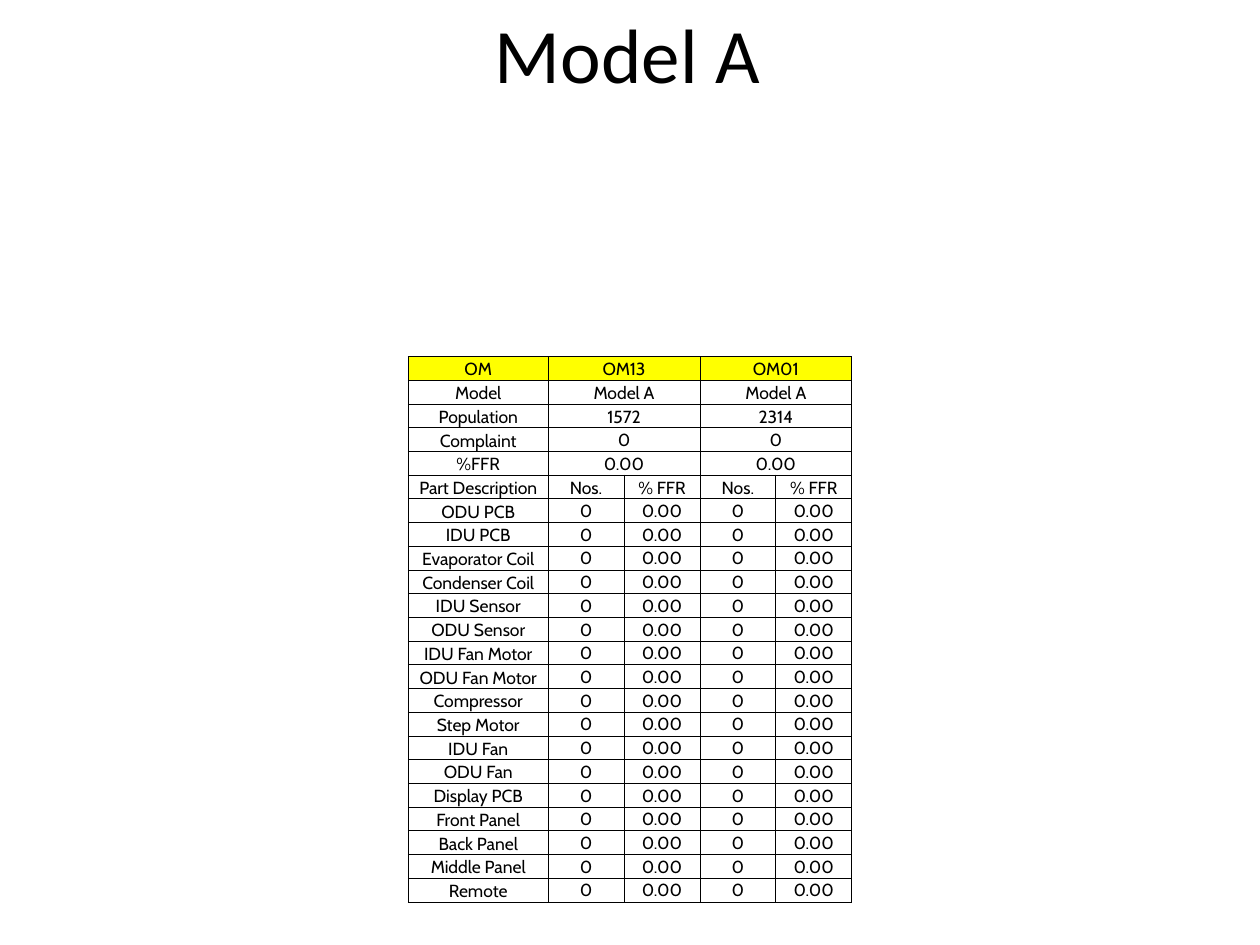
from lxml.etree import SubElement
from pptx import Presentation
from pptx.dml.color import RGBColor
from pptx.enum.text import MSO_ANCHOR, PP_ALIGN
from pptx.oxml.ns import qn
from pptx.util import Inches, Pt

COLORS = {"ink": "000000", "head": "FFFF00"}
MODEL = "Model A"
HEADS = [
    ("OM", "OM13", "OM01"),
    ("Model", MODEL, MODEL),
    ("Population", "1572", "2314"),
    ("Complaint", "0", "0"),
    ("%FFR", "0.00", "0.00"),
]
PARTS = [
    "ODU PCB", "IDU PCB", "Evaporator Coil", "Condenser Coil", "IDU Sensor",
    "ODU Sensor", "IDU Fan Motor", "ODU Fan Motor", "Compressor", "Step Motor",
    "IDU Fan", "ODU Fan", "Display PCB", "Front Panel", "Back Panel",
    "Middle Panel", "Remote",
]


def write(frame, text, font="Cabin", size=10, color="ink", align=PP_ALIGN.CENTER):
    frame.text = text
    para = frame.paragraphs[0]
    para.alignment = align
    style = para.runs[0].font
    style.name, style.size, style.bold = font, Pt(size), False
    style.color.rgb = RGBColor.from_string(COLORS[color])


class Page:
    """Hold the table style and the current slide."""

    def __init__(self, deck):
        self.slide = deck.slides.add_slide(deck.slide_layouts[5])
        self.inset = Inches(0.01)
        self.line = Pt(0.5)

    def title(self, text, left, top, width, height):
        box = self.slide.shapes.title
        box.left, box.top, box.width, box.height = map(Inches, (left, top, width, height))
        box.text_frame.vertical_anchor = MSO_ANCHOR.MIDDLE
        write(box.text_frame, text, font="Calibri", size=44)

    def border(self, cell):
        props = cell._tc.get_or_add_tcPr()
        for side in ("a:lnL", "a:lnR", "a:lnT", "a:lnB"):
            line = SubElement(props, qn(side), w=str(self.line))
            fill = SubElement(line, qn("a:solidFill"))
            SubElement(fill, qn("a:srgbClr"), val=COLORS["ink"])

    def cell(self, cell, text, anchor=MSO_ANCHOR.BOTTOM, fill=None):
        cell.margin_left = cell.margin_right = cell.margin_top = self.inset
        cell.margin_bottom = 0
        cell.vertical_anchor = anchor
        self.border(cell)
        if fill:
            cell.fill.solid()
            cell.fill.fore_color.rgb = RGBColor.from_string(COLORS[fill])
        else:
            cell.fill.background()
        if not cell.is_spanned:
            write(cell.text_frame, text)

    def table(self, left, top, width, height, first):
        heads = [(name, one, "", two, "") for name, one, two in HEADS]
        labels = ("Part Description",) + ("Nos.", "% FFR") * 2
        rows = heads + [labels] + [(part,) + ("0", "0.00") * 2 for part in PARTS]
        count = len(labels)
        grid = self.slide.shapes.add_table(
            len(rows), count, *map(Inches, (left, top, width, height))
        ).table
        grid.first_row = grid.horz_banding = False
        for row in grid.rows:
            row.height = round(Inches(height) / len(rows))
        for i, column in enumerate(grid.columns):
            column.width = Inches(first if i == 0 else (width - first) / (count - 1))
        for r in range(len(heads)):
            for c in (1, 3):
                grid.cell(r, c).merge(grid.cell(r, c + 1))
        for r, row in enumerate(rows):
            middle = row[0] == "Complaint" or r > len(heads)
            for c, text in enumerate(row):
                anchor = MSO_ANCHOR.MIDDLE if middle and c else MSO_ANCHOR.BOTTOM
                self.cell(grid.cell(r, c), text, anchor, None if r else "head")


def main():
    deck = Presentation()
    deck.slide_width, deck.slide_height = Inches(10), Inches(7.5)
    page = Page(deck)
    page.title(MODEL, 0.48, 0.17, 9, 0.5)
    page.table(3.24, 2.83, 3.52, 4.33, first=1.11)
    deck.save("out.pptx")


if __name__ == "__main__":
    main()
